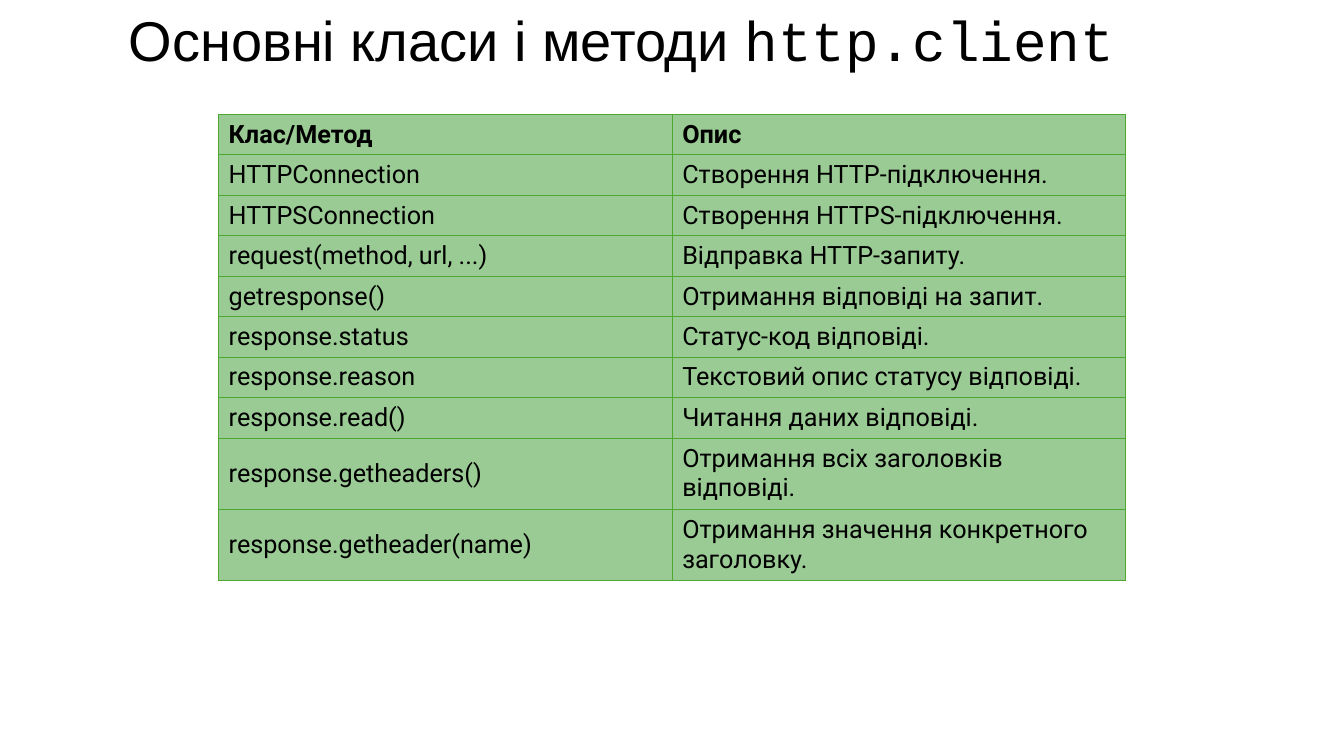
from lxml.etree import SubElement
from pptx import Presentation
from pptx.dml.color import RGBColor
from pptx.enum.text import MSO_ANCHOR, MSO_AUTO_SIZE, PP_ALIGN
from pptx.oxml.ns import qn
from pptx.util import Cm, Pt

BLACK = "000000"
CELL_GREEN = "9BCB94"
BORDER_GREEN = "4EA72E"

LINE_HEIGHT = Cm(1.02)
TWO_LINE_HEIGHT = Cm(1.79)
TWO_LINE_ROWS = 2  # the last rows wrap in the second column

METHODS = [
    ("Клас/Метод", "Опис"),
    ("HTTPConnection", "Створення HTTP-підключення."),
    ("HTTPSConnection", "Створення HTTPS-підключення."),
    ("request(method, url, ...)", "Відправка HTTP-запиту."),
    ("getresponse()", "Отримання відповіді на запит."),
    ("response.status", "Статус-код відповіді."),
    ("response.reason", "Текстовий опис статусу відповіді."),
    ("response.read()", "Читання даних відповіді."),
    ("response.getheaders()", "Отримання всіх заголовків відповіді."),
    ("response.getheader(name)", "Отримання значення конкретного заголовку."),
]


def color(hex_string):
    return RGBColor.from_string(hex_string)


def set_font(font, name, size, bold=False):
    font.name = name
    font.size = Pt(size)
    font.bold = bold
    font.color.rgb = color(BLACK)


def set_borders(cell, hex_string, width):
    """Draw all four cell edges; they must precede the fill in the XML."""
    properties = cell._tc.get_or_add_tcPr()
    for edge in ("a:lnL", "a:lnR", "a:lnT", "a:lnB"):
        line = SubElement(properties, qn(edge), w=str(Pt(width)))
        fill = SubElement(line, qn("a:solidFill"))
        SubElement(fill, qn("a:srgbClr"), val=hex_string)


def fill_title(title, parts):
    """Place the title and write its (text, font name) parts."""
    title.left, title.top = Cm(0), Cm(0)
    title.width, title.height = Cm(32.16), Cm(1.96)
    frame = title.text_frame
    frame.word_wrap = True
    frame.auto_size = MSO_AUTO_SIZE.SHAPE_TO_FIT_TEXT
    frame.vertical_anchor = MSO_ANCHOR.MIDDLE
    paragraph = frame.paragraphs[0]
    paragraph.alignment = PP_ALIGN.CENTER
    for text, font_name in parts:
        run = paragraph.add_run()
        run.text = text
        set_font(run.font, font_name, 40)


def fill_cell(cell, text, bold):
    cell.text = text
    cell.vertical_anchor = MSO_ANCHOR.MIDDLE
    set_font(cell.text_frame.paragraphs[0].font, "Roboto", 18, bold)
    set_borders(cell, BORDER_GREEN, 1)
    cell.fill.solid()
    cell.fill.fore_color.rgb = color(CELL_GREEN)


def add_methods_table(slide, rows):
    single_rows = len(rows) - TWO_LINE_ROWS
    height = single_rows * LINE_HEIGHT + TWO_LINE_ROWS * TWO_LINE_HEIGHT
    table = slide.shapes.add_table(
        len(rows), 2, Cm(5.51), Cm(2.88), Cm(22.86), height
    ).table
    for row_index, texts in enumerate(rows):
        is_single = row_index < single_rows
        table.rows[row_index].height = LINE_HEIGHT if is_single else TWO_LINE_HEIGHT
        for column_index, text in enumerate(texts):
            fill_cell(table.cell(row_index, column_index), text, row_index == 0)


def main():
    presentation = Presentation()
    presentation.slide_width = Cm(33.87)
    presentation.slide_height = Cm(19.05)
    slide = presentation.slides.add_slide(presentation.slide_layouts[5])
    fill_title(
        slide.shapes.title,
        [("Основні класи і методи ", "Arial"), ("http.client ", "Courier New")],
    )
    add_methods_table(slide, METHODS)
    presentation.save("out.pptx")


if __name__ == "__main__":
    main()
